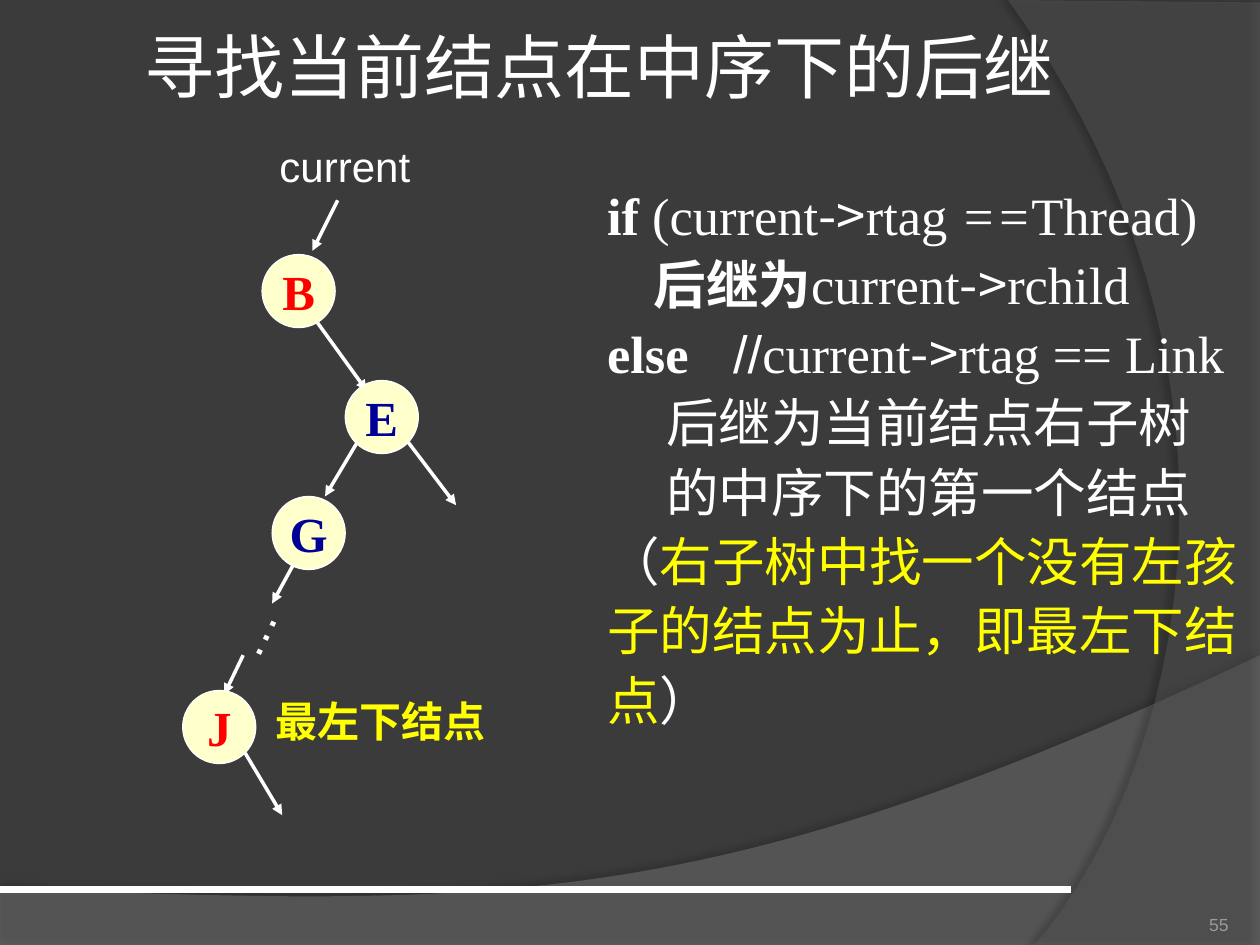
from dataclasses import dataclass
from lxml import etree
from pptx import Presentation
from pptx.dml.color import RGBColor
from pptx.enum.shapes import MSO_CONNECTOR, MSO_SHAPE
from pptx.enum.text import MSO_ANCHOR, MSO_AUTO_SIZE, PP_ALIGN
from pptx.oxml.ns import qn
from pptx.util import Inches, Pt

LINE, OVAL = MSO_CONNECTOR.STRAIGHT, MSO_SHAPE.OVAL
TOP, MID, LOW = MSO_ANCHOR.TOP, MSO_ANCHOR.MIDDLE, MSO_ANCHOR.BOTTOM
LEFT, MIDST, RIGHT = PP_ALIGN.LEFT, PP_ALIGN.CENTER, PP_ALIGN.RIGHT
FIXED = MSO_AUTO_SIZE.NONE
COLS, ROWS = 100, 75


@dataclass(frozen=True)
class Theme:
    back: str = "3B3B3B"
    wave: str = "7F7F7F"
    arc: str = "5E5E5E"
    ink: str = "FFFFFF"
    mark: str = "FFFF00"
    disc: str = "FFFFCC"
    red: str = "FF0000"
    blue: str = "000099"
    dim: str = "9D9B9A"
    shade: str = "000000"
    serif: str = "Times New Roman"
    sans: str = "Arial"
    han: str = "Noto Sans CJK SC"
    head: int = 40
    code: int = 30
    node: int = 28
    note: int = 24
    foot: int = 10


def rgb(code):
    return RGBColor.from_string(code)


def add(node, tag, **attrs):
    return etree.SubElement(node, qn(tag), {k: str(v) for k, v in attrs.items()})


def curve(a, b, c, d, steps=48):
    for i in range(1, steps + 1):
        t = i / steps
        s = 1 - t
        yield tuple(s**3 * p + 3 * s * s * t * q + 3 * s * t * t * u + t**3 * v
                    for p, q, u, v in zip(a, b, c, d))


class Deck:
    def __init__(self, theme):
        self.theme = theme
        self.file = Presentation()
        self.file.slide_width, self.file.slide_height = Inches(10), Inches(7.5)
        self.cell = self.file.slide_width / COLS
        self.page = self.file.slides.add_slide(self.file.slide_layouts[5])
        self.page.background.fill.solid()
        self.page.background.fill.fore_color.rgb = rgb(theme.back)

    def grid(self, *spans):
        return [round(n * self.cell) for n in spans]

    def run(self, para, text, size, color=None, font=None, bold=False, italic=False):
        run = para.add_run()
        run.text = text
        run.font.size, run.font.bold, run.font.italic = Pt(size), bold, italic
        run.font.color.rgb = rgb(color or self.theme.ink)
        run.font.name = font or self.theme.serif
        add(run.font._element, "a:ea", typeface=self.theme.han)

    def title(self, box, text):
        shape = self.page.shapes.title
        shape.left, shape.top, shape.width, shape.height = self.grid(*box)
        frame = shape.text_frame
        frame.auto_size, frame.vertical_anchor = FIXED, TOP
        frame.paragraphs[0].alignment = LEFT
        self.run(frame.paragraphs[0], text, self.theme.head)
        self.page.shapes._spTree.append(shape._element)

    def frame(self, box, turn=0):
        shape = self.page.shapes.add_textbox(*self.grid(*box))
        shape.rotation = turn
        shape.text_frame.word_wrap = True
        return shape.text_frame

    def label(self, box, text, size, turn=0, **style):
        para = self.frame(box, turn).paragraphs[0]
        self.run(para, text, size, font=self.theme.sans, **style)

    def number(self, box, text):
        frame = self.frame(box)
        frame.margin_left = frame.margin_right = 0
        frame.margin_top = frame.margin_bottom = 0
        frame.vertical_anchor = LOW
        frame.paragraphs[0].alignment = RIGHT
        self.run(frame.paragraphs[0], text, self.theme.foot, self.theme.dim, self.theme.sans)

    def code(self, box, lines):
        frame = self.frame(box)
        for i, (inset, tab, runs) in enumerate(lines):
            para = frame.add_paragraph() if i else frame.paragraphs[0]
            para.line_spacing = 1.1
            props = para._p.get_or_add_pPr()
            props.set("marL", "0")
            props.set("indent", str(*self.grid(inset)))
            if tab:
                stops = add(props, "a:tabLst")
                add(stops, "a:tab", pos=self.grid(tab)[0], algn="l")
            for text, style in runs:
                self.run(para, text, self.theme.code, **style)

    def node(self, left, top, text, color):
        shape = self.page.shapes.add_shape(OVAL, *self.grid(left, top, 5.8, 5.8))
        shape.shadow.inherit = False
        shape.fill.solid()
        shape.fill.fore_color.rgb = rgb(self.theme.disc)
        shape.line.color.rgb = rgb(self.theme.ink)
        shape.line.width = Pt(0.75)
        frame = shape.text_frame
        frame.word_wrap, frame.vertical_anchor = False, MID
        frame.paragraphs[0].alignment = MIDST
        self.run(frame.paragraphs[0], text, self.theme.node, color, bold=True)

    def line(self, ends, width=2, arrow=True):
        link = self.page.shapes.add_connector(LINE, *self.grid(*ends))
        link.line.color.rgb = rgb(self.theme.ink)
        link.line.width = Pt(width)
        if arrow:
            add(link.line._get_or_add_ln(), "a:tailEnd", type="triangle")
        add(link._element.spPr, "a:effectLst")

    def sweep(self, points, color, alpha, dark, dist, angle):
        first, *rest = [self.grid(*p) for p in points]
        pen = self.page.shapes.build_freeform(*first)
        pen.add_line_segments(rest, close=True)
        shape = pen.convert_to_shape()
        shape.fill.solid()
        shape.fill.fore_color.rgb = rgb(color)
        shape.line.fill.background()
        props = shape._element.spPr
        add(props.find(".//" + qn("a:solidFill"))[0], "a:alpha", val=alpha * 1000)
        shade = add(add(props, "a:effectLst"), "a:outerShdw", blurRad=Pt(4),
                    dist=Pt(dist), dir=angle * 60000, algn="ctr", rotWithShape=0)
        tone = add(shade, "a:srgbClr", val=self.theme.shade)
        add(tone, "a:alpha", val=dark * 1000)


def main():
    look = Theme()
    deck = Deck(look)
    wave = [(0, 70.5), (0, 75.1), (COLS, 75.1), (COLS, 52)]
    wave += curve(wave[-1], (55.9, 72.9), (39.1, 71.9), wave[0])
    arc = [(COLS, 0.2), (COLS, ROWS), (82.1, ROWS)]
    arc += curve(arc[-1], (93.5, 61.9), (101.8, 30), (80, 0))
    deck.sweep(wave, look.wave, 45, 35, 3.5, 270)
    deck.sweep(arc, look.arc, 40, 45, 4, 180)
    deck.line((0, 70.6, 85, 70.6), 4.5, False)
    deck.number((89.2, 70.2, 8.3, 4), "55")
    for ends in (
        (26.8, 15.9, 24.8, 19.9), (24.9, 25.2, 29.1, 31),
        (28.3, 35.2, 25.8, 39.4), (32.4, 35.1, 36.2, 40.1),
        (24, 43.5, 21.6, 47.9), (19.3, 52, 17.8, 55.1),
        (19.3, 59.5, 22.4, 64.7),
    ):
        deck.line(ends)

    bold, slant, plain = {"bold": True}, {"italic": True}, {}
    arrow = ("->", {"font": look.han})
    deck.code((47.2, 13.5, 54, 51), [
        (0, 0, [("if", bold), (" (current", plain), arrow, ("rtag ", plain),
                ("==", slant), ("Thread)", plain)]),
        (3.7, 0, [("后继为", bold), ("current", plain), arrow, ("rchild", plain)]),
        (0, 9.5, [("else", bold), ("\t", plain), ("//", {"font": look.sans}),
                  ("current", plain), arrow, ("rtag == Link", plain)]),
        (4.7, 0, [("后继为当前结点右子树", plain)]),
        (4.7, 0, [("的中序下的第一个结点（", plain),
                  ("右子树中找一个没有左孩子的结点为止，即最左下结点", {"color": look.mark}),
                  ("）", plain)]),
    ])
    deck.title((10.5, 1.4, 79.9, 7.7), "寻找当前结点在中序下的后继")
    for left, top, text, color in (
        (20.8, 20.2, "B", look.red), (27.4, 30.2, "E", look.blue),
        (21.6, 39.4, "G", look.blue), (14.5, 54.8, "J", look.red),
    ):
        deck.node(left, top, text, color)
    deck.label((21.2, 10.7, 14.4, 5), "current", look.note)
    deck.label((16.4, 46.3, 8, 5.7), "…", look.node, turn=295.5)
    deck.label((20.9, 54.7, 18.8, 5), "最左下结点", look.note, color=look.mark, bold=True)
    deck.file.save("out.pptx")


if __name__ == "__main__":
    main()
